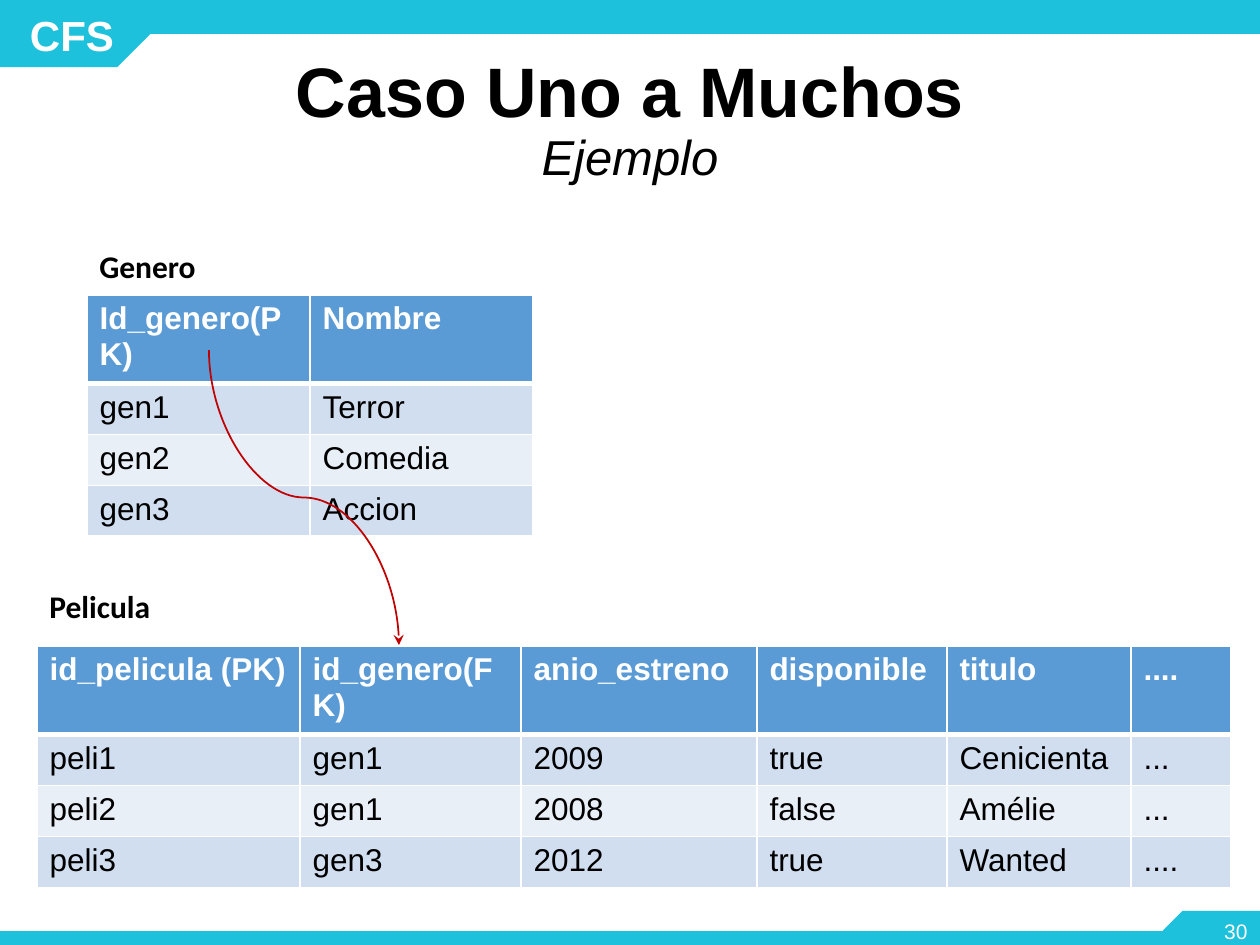
from lxml.etree import SubElement
from pptx import Presentation
from pptx.dml.color import RGBColor
from pptx.enum.shapes import MSO_CONNECTOR, MSO_SHAPE
from pptx.enum.text import MSO_ANCHOR, PP_ALIGN
from pptx.oxml import parse_xml
from pptx.oxml.ns import nsdecls, qn
from pptx.util import Emu, Pt

SCALE = 914400 / 126
WHITE = RGBColor(0xFF, 0xFF, 0xFF)
BLACK = RGBColor(0, 0, 0)
CYAN = RGBColor(0x1D, 0xC1, 0xDC)
BLUE = RGBColor(0x5B, 0x9B, 0xD5)
BANDS = (RGBColor(0xD0, 0xDE, 0xEF), RGBColor(0xE9, 0xEF, 0xF7))
RED = RGBColor(0xC0, 0, 0)
ROW = 51

GENRES = [
    ["Id_genero(PK)", "Nombre"],
    ["gen1", "Terror"],
    ["gen2", "Comedia"],
    ["gen3", "Accion"],
]
FILMS = [
    ["id_pelicula (PK)", "id_genero(FK)", "anio_estreno", "disponible", "titulo", "...."],
    ["peli1", "gen1", "2009", "true", "Cenicienta", "..."],
    ["peli2", "gen1", "2008", "false", "Amélie", "..."],
    ["peli3", "gen3", "2012", "true", "Wanted", "...."],
]


def px(*sizes):
    return [Emu(round(size * SCALE)) for size in sizes]


def style(run, size, color=BLACK, bold=False, italic=False, name="Arial"):
    font = run.font
    font.size, font.name = Pt(size), name
    font.bold, font.italic = bold, italic
    font.color.rgb = color


def add_text(slide, box, text, *looks, align=PP_ALIGN.LEFT, anchor=MSO_ANCHOR.MIDDLE):
    """Place one paragraph; each look formats one of its runs."""
    frame = slide.shapes.add_textbox(*px(*box)).text_frame
    frame.word_wrap = True
    frame.vertical_anchor = anchor
    line = frame.paragraphs[0]
    line.text = text
    line.alignment = align
    for run, look in zip(line.runs, looks):
        style(run, **look)
    return line


def add_block(slide, kind, box):
    shape = slide.shapes.add_shape(kind, *px(*box))
    shape.shadow.inherit = False
    shape.fill.solid()
    shape.fill.fore_color.rgb = CYAN
    shape.line.fill.background()
    return shape


def add_tab(slide, box, turn=0):
    """Place a mirrored block with one corner cut off."""
    tab = add_block(slide, MSO_SHAPE.SNIP_1_RECTANGLE, box)
    tab.adjustments[0] = 0.5
    tab.rotation = turn
    tab._element.spPr.find(qn("a:xfrm")).set("flipH", "1")


def add_header(slide, left, top, width):
    add_block(slide, MSO_SHAPE.RECTANGLE, (left + 141, top, width - 141, 34))
    add_tab(slide, (left, top, 151, 67), 180)
    add_text(slide, (left + 9, top + 5, 126, 59), "CFS",
             dict(size=24, color=WHITE, bold=True), align=PP_ALIGN.CENTER)


def add_footer(slide, left, top, width):
    add_block(slide, MSO_SHAPE.RECTANGLE, (left, top + 20, width, 20))
    add_tab(slide, (left + width - 97, top, 97, 39))
    add_text(slide, (left + width - 77, top - 5, 77, 50), "30",
             dict(size=12, color=WHITE), align=PP_ALIGN.RIGHT)


def add_title(slide, box):
    line = add_text(slide, box, "Caso Uno a Muchos\vEjemplo",
                    dict(size=40, bold=True), dict(size=28, italic=True),
                    align=PP_ALIGN.CENTER)
    line.line_spacing = 0.9


def set_edges(cell, top, bottom):
    props = cell._tc.get_or_add_tcPr()
    for side, points in zip("LRTB", (1, 1, top, bottom)):
        props.append(parse_xml(
            f'<a:ln{side} {nsdecls("a")} w="{Pt(points)}"><a:solidFill>'
            f'<a:srgbClr val="{WHITE}"/></a:solidFill></a:ln{side}>'))


def add_grid(slide, left, top, label, gap, widths, rows):
    """Place a table at left, top with its label gap pixels higher."""
    add_text(slide, (left, top - gap, 127, 50), label,
             dict(size=18, bold=True, name="Calibri"), anchor=MSO_ANCHOR.TOP)
    table = slide.shapes.add_table(
        len(rows), len(widths),
        *px(left, top, sum(widths), ROW * len(rows))).table
    for column, width in zip(table.columns, px(*widths)):
        column.width = width
    for i, words in enumerate(rows):
        head = i == 0
        for j, word in enumerate(words):
            cell = table.cell(i, j)
            set_edges(cell, 3 if i == 1 else 1, 3 if head else 1)
            cell.fill.solid()
            cell.fill.fore_color.rgb = BLUE if head else BANDS[(i - 1) % 2]
            cell.text_frame.text = word
            style(cell.text_frame.paragraphs[0].runs[0], 18,
                  WHITE if head else BLACK, head)


def add_link(slide, x1, y1, x2, y2):
    """Curve from one key down to the other, leaving and arriving upright."""
    mid_x, mid_y = (x1 + x2) / 2, (y1 + y2) / 2
    long, wide = (y2 - y1) / 2, (x2 - x1) / 2
    link = slide.shapes.add_connector(
        MSO_CONNECTOR.CURVE,
        *px(mid_x + long, mid_y - wide, mid_x - long, mid_y + wide))
    link.line.color.rgb = RED
    link.line.width = Pt(1)
    props = link._element.spPr
    props.find(qn("a:xfrm")).set("rot", str(270 * 60000))
    SubElement(props.find(qn("a:ln")), qn("a:tailEnd"), type="stealth")
    SubElement(props, qn("a:effectLst"))


def main():
    deck = Presentation()
    deck.slide_width, deck.slide_height = px(1260, 945)
    slide = deck.slides.add_slide(deck.slide_layouts[6])
    add_footer(slide, 0, 911, 1260)
    add_header(slide, 0, 0, 1260)
    add_title(slide, (87, 38, 1086, 167))
    add_grid(slide, 87, 295, "Genero", 54, [223, 223], GENRES)
    add_grid(slide, 37, 646, "Pelicula", 65, [263, 221, 236, 190, 184, 100], FILMS)
    add_link(slide, 209, 350, 399, 645)
    deck.save("out.pptx")


if __name__ == "__main__":
    main()
